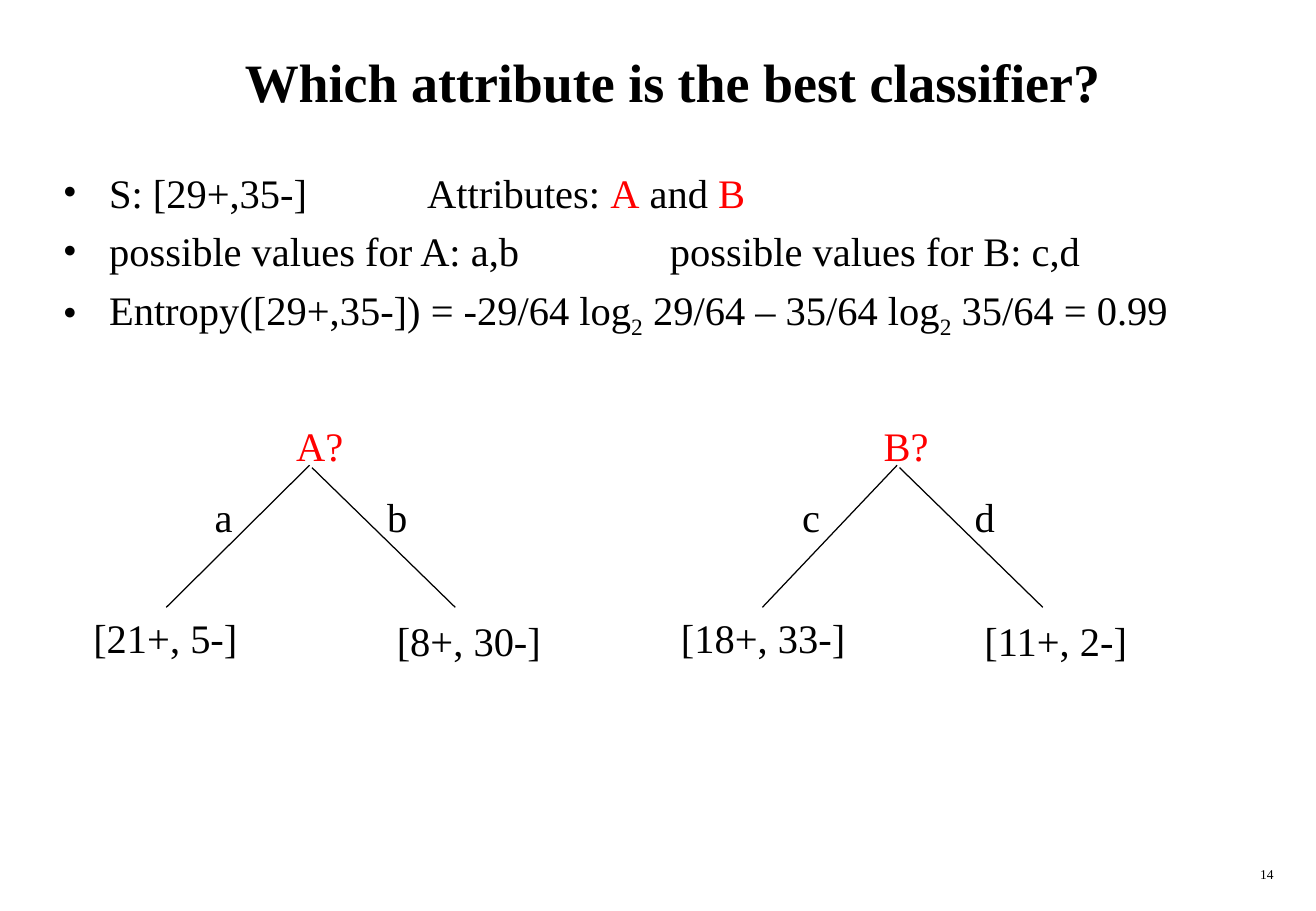
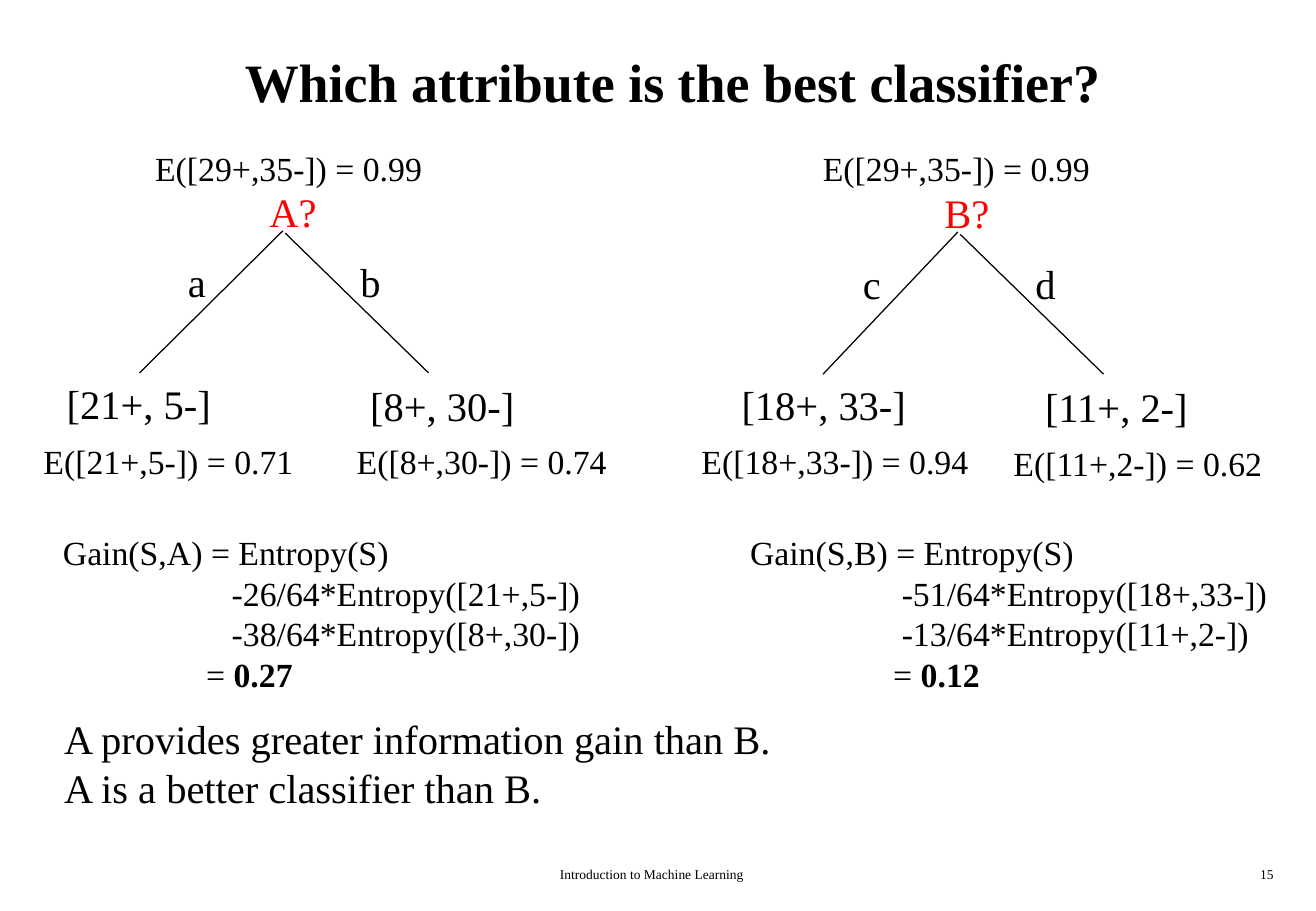
from lxml.etree import SubElement
from pptx import Presentation
from pptx.dml.color import RGBColor
from pptx.enum.shapes import MSO_CONNECTOR
from pptx.enum.text import MSO_ANCHOR, PP_ALIGN
from pptx.oxml.ns import qn
from pptx.util import Inches, Pt

BLACK = RGBColor(0x00, 0x00, 0x00)
RED = RGBColor(0xFF, 0x00, 0x00)
FONT = "Times New Roman"
TITLE_SIZE, BODY_SIZE, FORMULA_SIZE, FOOTER_SIZE = 32, 24, 20, 8
TITLE = "Which attribute is the best classifier?"
FOOTER_TOP, FOOTER_HEIGHT = 7.08, 0.25
TREE_A = ("A?", ("a", "b"), ("[21+, 5-]", "[8+, 30-]"))
TREE_B = ("B?", ("c", "d"), ("[18+, 33-]", "[11+, 2-]"))


def style_run(run, size, color=BLACK, bold=False):
    """Give a run its font."""
    run.font.name = FONT
    run.font.size = Pt(size)
    run.font.color.rgb = color
    run.font.bold = bold


def add_text(shapes, left, top, width, height, text, size=BODY_SIZE,
             color=BLACK, align=PP_ALIGN.LEFT):
    """Add a text box with one paragraph per line and return its frame."""
    box = shapes.add_textbox(Inches(left), Inches(top), Inches(width), Inches(height))
    frame = box.text_frame
    frame.text = text
    frame.word_wrap = True
    for paragraph in frame.paragraphs:
        paragraph.alignment = align
        for run in paragraph.runs:
            style_run(run, size, color)
    return frame


def add_edge(shapes, start, end):
    """Draw a thin black line between two points."""
    edge = shapes.add_connector(MSO_CONNECTOR.STRAIGHT,
                                *(Inches(value) for value in (*start, *end)))
    edge.line.color.rgb = BLACK
    edge.line.width = Pt(0.75)
    SubElement(edge._element.spPr, qn("a:effectLst"))


def add_tree(slide, x, y, tree, left_reach):
    """Draw a two-branch decision tree with its root label at x, y."""
    root, branches, leaves = tree
    shapes = slide.shapes.add_group_shape().shapes
    add_text(shapes, x, y, 0.65, 0.5, root, color=RED)
    add_edge(shapes, (x + 0.21, y + 0.41), (x - left_reach, y + 1.58))
    add_edge(shapes, (x + 0.23, y + 0.43), (x + 1.41, y + 1.58))
    for label, dx in zip(branches, (-0.67, 0.75)):
        add_text(shapes, x + dx, y + 0.58, 0.4, 0.5, label)
    for label, dx, dy in zip(leaves, (-1.67, 0.83), (1.58, 1.6)):
        add_text(shapes, x + dx, y + dy, 1.65, 0.5, label)


def add_bullet(paragraph, tab_stop=None):
    """Give a paragraph a hanging bullet and an optional tab stop in inches."""
    properties = paragraph._p.get_or_add_pPr()
    properties.set("marL", str(Inches(0.38)))
    properties.set("indent", str(Inches(-0.38)))
    SubElement(properties, qn("a:buFont"), typeface=FONT)
    SubElement(properties, qn("a:buChar"), char="•")
    if tab_stop:
        tabs = SubElement(properties, qn("a:tabLst"))
        SubElement(tabs, qn("a:tab"), pos=str(Inches(tab_stop)), algn="l")


def add_facts(slide):
    """List the sample, the attributes and the entropy of the sample."""
    frame = add_text(slide.shapes, 0.42, 1.33, 10.25, 1.92, "")
    facts = (
        (3, (("S: [29+,35-]\tAttributes: ", BLACK, 0), ("A", RED, 0),
             (" and ", BLACK, 0), ("B", RED, 0))),
        (5, (("possible values for A: a,b\tpossible values for B: c,d", BLACK, 0),)),
        (None, (("Entropy([29+,35-]) = -29/64 log", BLACK, 0), ("2", BLACK, -25000),
                (" 29/64 – 35/64 log", BLACK, 0), ("2", BLACK, -25000),
                (" 35/64 = 0.99", BLACK, 0))),
    )
    for index, (tab_stop, pieces) in enumerate(facts):
        paragraph = frame.add_paragraph() if index else frame.paragraphs[0]
        add_bullet(paragraph, tab_stop)
        if index:
            paragraph.space_before = Pt(6)
        for text, color, baseline in pieces:
            run = paragraph.add_run()
            run.text = text
            style_run(run, BODY_SIZE, color)
            if baseline:
                run._r.get_or_add_rPr().set("baseline", str(baseline))


def add_gain(slide, left, attribute, terms, term_indent, result):
    """Write out the information gain of one attribute."""
    lines = [f"Gain(S,{attribute}) = Entropy(S)", *terms, "= "]
    frame = add_text(slide.shapes, left, 4.33, 4.6, 1.44, "\n".join(lines), FORMULA_SIZE)
    indents = [0] + [term_indent] * len(terms) + [1.18]
    for paragraph, indent in zip(frame.paragraphs, indents):
        paragraph._p.get_or_add_pPr().set("marL", str(Inches(indent)))
    value = frame.paragraphs[-1].add_run()
    value.text = result
    style_run(value, FORMULA_SIZE, bold=True)


def add_slide(prs, number, footer=None):
    """Add a slide with the shared title, page number and optional footer."""
    slide = prs.slides.add_slide(prs.slide_layouts[5])
    title = slide.shapes.title
    title.left, title.top = Inches(0.42), Inches(0.17)
    title.width, title.height = Inches(10.25), Inches(1)
    frame = title.text_frame
    frame.text = TITLE
    frame.vertical_anchor = MSO_ANCHOR.MIDDLE
    frame.paragraphs[0].alignment = PP_ALIGN.CENTER
    style_run(frame.paragraphs[0].runs[0], TITLE_SIZE, bold=True)
    if footer:
        add_text(slide.shapes, 3.34, FOOTER_TOP, 4.06, FOOTER_HEIGHT, footer,
                 FOOTER_SIZE, align=PP_ALIGN.CENTER)
    add_text(slide.shapes, 8.33, FOOTER_TOP, 2.26, FOOTER_HEIGHT, str(number),
             FOOTER_SIZE, align=PP_ALIGN.RIGHT)
    return slide


def build_question(prs):
    """Build the slide that sets up the two candidate splits."""
    slide = add_slide(prs, 14)
    add_facts(slide)
    add_tree(slide, 2.34, 3.42, TREE_A, 0.97)
    add_tree(slide, 7.18, 3.42, TREE_B, 0.9)


def build_answer(prs):
    """Build the slide that compares the gain of the two splits."""
    slide = add_slide(prs, 15, "Introduction to Machine Learning")
    add_tree(slide, 2.12, 1.49, TREE_A, 0.97)
    add_tree(slide, 7.68, 1.5, TREE_B, 0.9)
    entropies = (
        (1.18, 1.17, "E([29+,35-]) = 0.99"),
        (6.68, 1.17, "E([29+,35-]) = 0.99"),
        (0.26, 3.58, "E([21+,5-]) = 0.71"),
        (2.84, 3.58, "E([8+,30-]) = 0.74"),
        (5.68, 3.58, "E([18+,33-]) = 0.94"),
        (8.25, 3.6, "E([11+,2-]) = 0.62"),
    )
    for left, top, text in entropies:
        add_text(slide.shapes, left, top, 2.5, 0.44, text, FORMULA_SIZE)
    add_gain(slide, 0.42, "A", ("-26/64*Entropy([21+,5-])", "-38/64*Entropy([8+,30-])"),
             1.39, "0.27")
    add_gain(slide, 6.08, "B", ("-51/64*Entropy([18+,33-])", "-13/64*Entropy([11+,2-])"),
             1.25, "0.12")
    add_text(slide.shapes, 0.43, 5.83, 6.3, 0.9,
             "A provides greater information gain than B.\nA is a better classifier than B.")


def main():
    """Build and save the presentation."""
    prs = Presentation()
    prs.slide_width, prs.slide_height = Inches(10.84), Inches(7.5)
    build_question(prs)
    build_answer(prs)
    prs.save("out.pptx")


if __name__ == "__main__":
    main()
